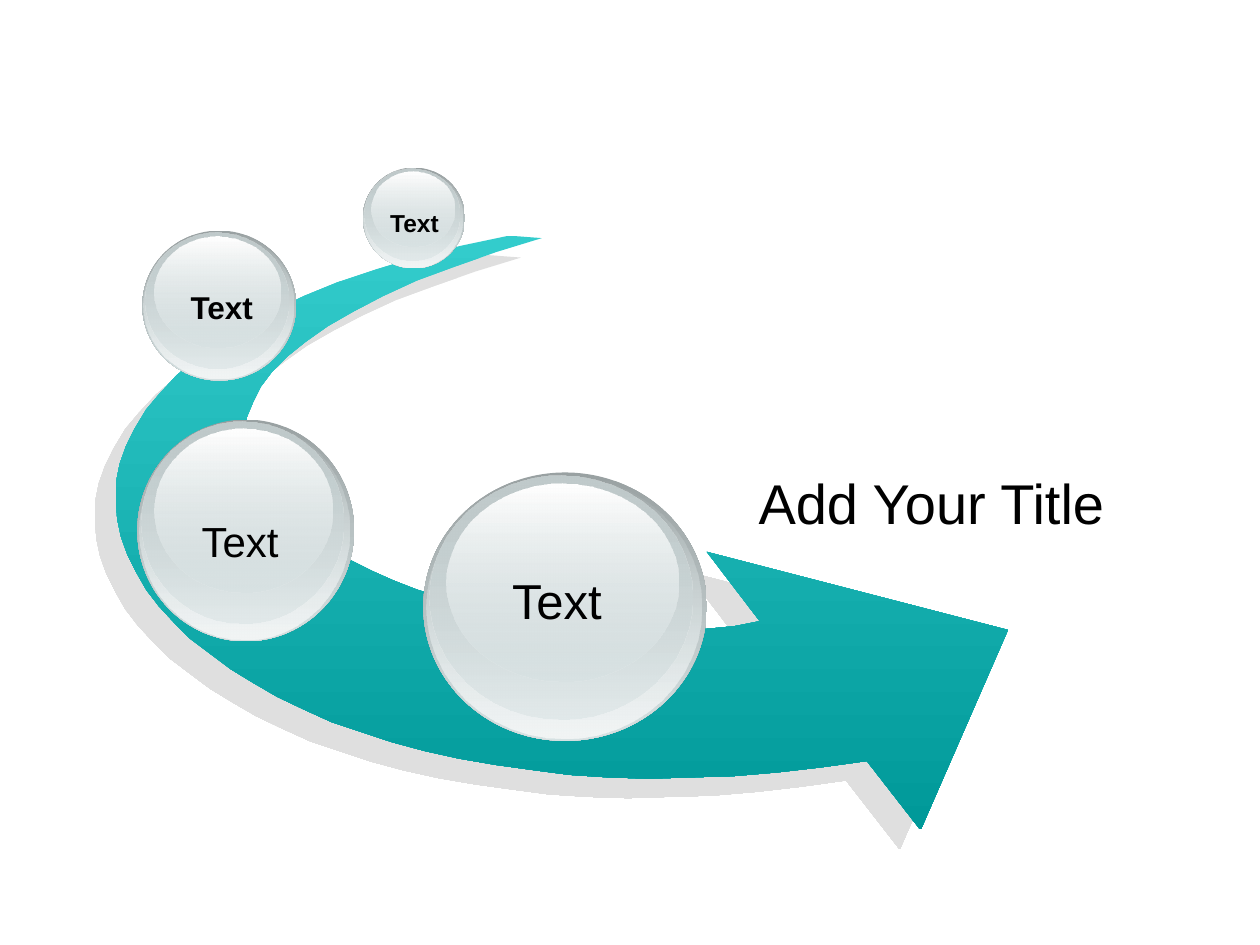
import pptx
import pptx.util
from lxml import etree
from pptx.dml.color import RGBColor
from pptx.enum.shapes import MSO_SHAPE
from pptx.enum.text import MSO_ANCHOR, MSO_AUTO_SIZE, PP_ALIGN
from pptx.oxml.ns import qn
from pptx.util import Inches

FONT = "Arial"
COLORS = {
    "text": "000000",
    "arrow_top": "33CCCC",
    "arrow_bottom": "009999",
    "shadow": "C0C0C0",
    "rim": "99A1A2",
    "glass": "D6E1E2",
    "glow": "F2F5F5",
    "inner": "C1CBCC",
    "shine": "FFFFFF",
}

# Arrow outline in hundredths of an inch from the corner of its box
OUTER_EDGE = [
    (312, 0), (274, 8), (239, 17), (206, 27), (176, 37), (149, 48), (124, 60),
    (102, 72), (81, 85), (63, 98), (48, 111), (35, 125), (24, 138), (15, 153),
    (8, 167), (3, 181), (0, 196), (0, 210), (1, 225), (4, 239), (9, 253),
    (16, 267), (24, 281), (34, 294), (46, 307), (59, 320), (75, 332),
    (91, 344), (109, 355), (128, 366), (149, 376), (171, 386), (195, 394),
    (219, 402), (245, 409), (272, 415), (301, 420), (330, 424), (360, 428),
    (391, 430), (423, 431), (456, 430), (490, 429), (525, 426), (560, 422),
    (596, 417),
]
ARROW_HEAD = [(638, 471), (639, 471), (708, 313), (469, 251)]
INNER_EDGE = [
    (511, 306), (491, 310), (470, 312), (449, 313), (427, 314), (406, 313),
    (383, 312), (362, 309), (340, 306), (319, 303), (298, 298), (278, 293),
    (258, 287), (239, 281), (221, 274), (203, 266), (187, 258), (171, 249),
    (157, 240), (145, 231), (133, 221), (124, 211), (116, 200), (110, 189),
    (105, 178), (103, 167), (103, 155), (104, 144), (109, 132), (115, 120),
    (124, 108), (136, 96), (151, 84), (168, 72), (189, 60), (212, 48),
    (238, 36), (268, 25), (302, 13), (338, 2),
]

# Share of the ball's box (left, top, width, height), then two (color, opacity) stops
BALL_LAYERS = [
    ((0, 0, 1, 1), ("rim", 100), ("glass", 100)),
    ((0.01, 0.01, 0.97, 0.98), ("glass", 0), ("glow", 100)),
    ((0.02, 0.01, 0.93, 0.91), ("inner", 100), ("glass", 48)),
    ((0.08, 0.04, 0.82, 0.74), ("shine", 100), ("glass", 38)),
]

# Ball box, label box, text size, bold
BALLS = [
    ((3.36, 3.75, 2.25, 2.13), (3.94, 4.48, 0.96, 0.57), 28, False),
    ((1.09, 3.33, 1.72, 1.76), (1.48, 4.04, 0.85, 0.5), 24, False),
    ((1.13, 1.83, 1.22, 1.19), (1.4, 2.24, 0.72, 0.4), 18, True),
    ((2.88, 1.33, 0.81, 0.8), (2.99, 1.6, 0.6, 0.33), 14, True),
]


def rgb(name):
    return RGBColor.from_string(COLORS[name])


def set_opacity(color_element, percent):
    alpha = etree.SubElement(color_element, qn("a:alpha"))
    alpha.set("val", str(percent * 1000))


def style_shape(shape, *stops):
    """Give a shape a top-to-bottom gradient with no line or shadow."""
    shape.shadow.inherit = False
    shape.line.fill.background()
    shape.fill.gradient()
    shape.fill.gradient_angle = 270
    for stop, (name, opacity) in zip(shape.fill.gradient_stops, stops):
        stop.color.rgb = rgb(name)
    color_elements = shape._element.spPr.findall(".//" + qn("a:gs"))
    for element, (name, opacity) in zip(color_elements, stops):
        if opacity < 100:
            set_opacity(element[0], opacity)


def write_text(shape, text, size, bold, align):
    para = shape.text_frame.paragraphs[0]
    para.alignment = align
    span = para.add_run()
    span.text = text
    span.font.name = FONT
    span.font.size = pptx.util.Pt(size)
    span.font.bold = bold
    span.font.color.rgb = rgb("text")


def add_arrow(page, left, top):
    start, *rest = OUTER_EDGE + ARROW_HEAD + INNER_EDGE
    builder = page.shapes.build_freeform(*start, scale=Inches(0.01))
    builder.add_line_segments(rest, close=True)
    arrow = builder.convert_to_shape(Inches(left), Inches(top))
    style_shape(arrow, ("arrow_top", 100), ("arrow_bottom", 100))
    effects = arrow._element.spPr.find(qn("a:effectLst"))
    shadow = etree.SubElement(effects, qn("a:outerShdw"))
    shadow.set("dist", str(int(pptx.util.Pt(16.3))))
    shadow.set("dir", str(137 * 60000))
    shadow.set("algn", "ctr")
    shadow.set("rotWithShape", "0")
    color = etree.SubElement(shadow, qn("a:srgbClr"))
    color.set("val", COLORS["shadow"])
    set_opacity(color, 50)


def add_ball(page, left, top, width, height):
    ball = page.shapes.add_group_shape()
    for (x, y, w, h), first, last in BALL_LAYERS:
        layer = ball.shapes.add_shape(
            MSO_SHAPE.OVAL,
            Inches(left + x * width), Inches(top + y * height),
            Inches(w * width), Inches(h * height),
        )
        style_shape(layer, first, last)


def add_label(page, box, size, bold):
    label = page.shapes.add_textbox(*map(Inches, box))
    label.text_frame.word_wrap = False
    label.text_frame.auto_size = MSO_AUTO_SIZE.SHAPE_TO_FIT_TEXT
    write_text(label, "Text", size, bold, PP_ALIGN.CENTER)


def place_title(page, left, top, width, height):
    title = page.shapes.title
    title.left, title.top = Inches(left), Inches(top)
    title.width, title.height = Inches(width), Inches(height)
    title.text_frame.word_wrap = True
    title.text_frame.auto_size = MSO_AUTO_SIZE.NONE
    title.text_frame.vertical_anchor = MSO_ANCHOR.TOP
    write_text(title, "Add Your Title", 32, False, PP_ALIGN.LEFT)


def main():
    deck = pptx.Presentation()
    deck.slide_width, deck.slide_height = Inches(10), Inches(7.5)
    page = deck.slides.add_slide(deck.slide_layouts.get_by_name("Title Only"))
    add_arrow(page, 0.92, 1.87)
    for ball_box, label_box, size, bold in BALLS:
        add_ball(page, *ball_box)
        add_label(page, label_box, size, bold)
    place_title(page, 5.92, 3.67, 3.08, 0.63)
    deck.save("out.pptx")


if __name__ == "__main__":
    main()
